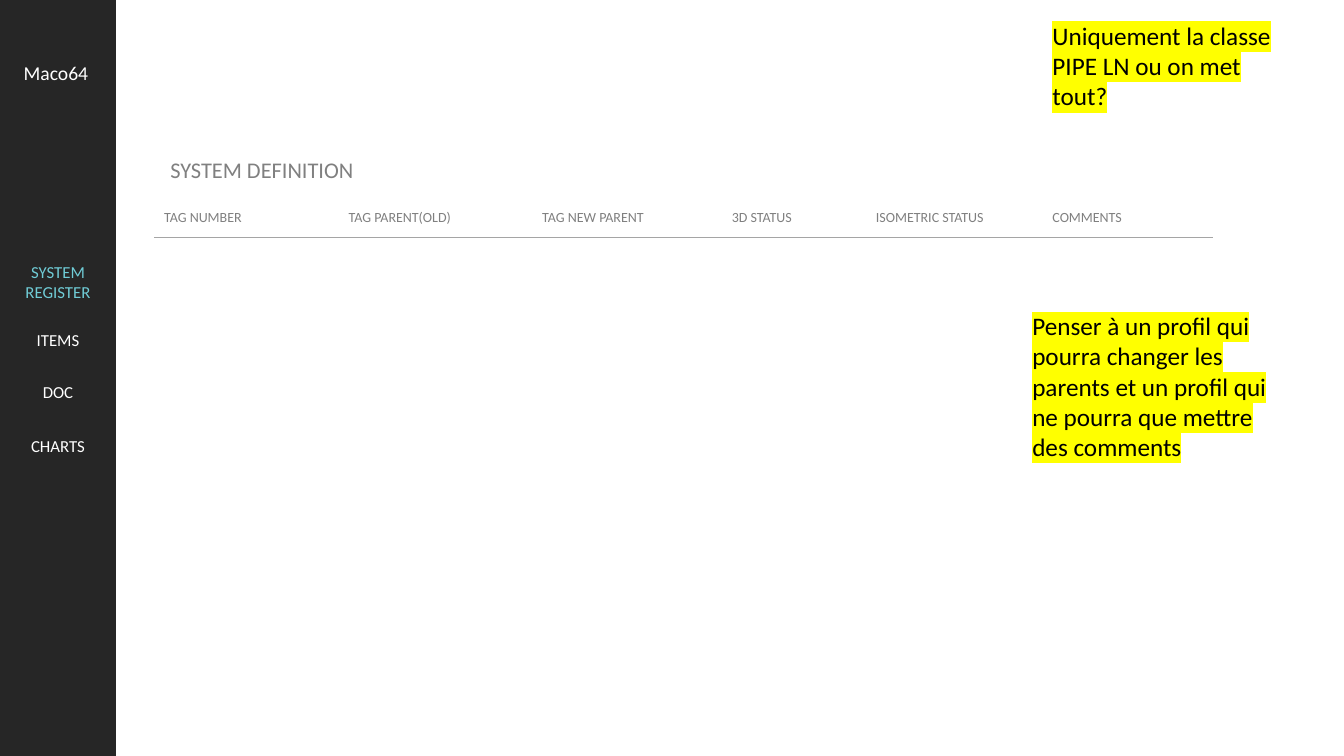
from lxml import etree
from pptx import Presentation
from pptx.dml.color import RGBColor
from pptx.enum.shapes import MSO_CONNECTOR, MSO_SHAPE
from pptx.enum.text import MSO_AUTO_SIZE, PP_ALIGN
from pptx.oxml.ns import qn
from pptx.util import Inches, Pt

LEFT, CENTER = PP_ALIGN.LEFT, PP_ALIGN.CENTER
GROW = MSO_AUTO_SIZE.SHAPE_TO_FIT_TEXT
RECTANGLE = MSO_SHAPE.RECTANGLE
STRAIGHT = MSO_CONNECTOR.STRAIGHT

FONT = "Calibri"
WHITE, BLACK, GRAY = "FFFFFF", "000000", "808080"
DARK, TEAL, YELLOW, RULE = "262626", "70CCD6", "FFFF00", "A5A5A5"

# Label, left, width
COLUMNS = [
    ("TAG NUMBER", 1.53, 1.15),
    ("TAG PARENT(OLD)", 3.36, 1.34),
    ("TAG NEW PARENT", 5.28, 1.34),
    ("3D STATUS", 7.16, 1.34),
    ("ISOMETRIC STATUS", 8.59, 1.56),
    ("COMMENTS", 10.34, 1.34),
]
# Label, top, height, colour
MENU = [
    ("SYSTEM\nREGISTER", 2.55, 0.5, TEAL),
    ("ITEMS", 3.22, 0.3, WHITE),
    ("DOC", 3.74, 0.3, WHITE),
    ("CHARTS", 4.27, 0.3, WHITE),
]
# Text, left, top, height
NOTES = [
    ("Uniquement la classe PIPE LN ou on met tout?", 10.34, 0.15, 1.01),
    ("Penser à un profil qui pourra changer les parents et un profil qui "
     "ne pourra que mettre des comments", 10.14, 3.03, 1.62),
]


def color(value):
    return RGBColor.from_string(value)


def add_highlight(span, value):
    """Place the highlight right after the text fill."""
    highlight = etree.Element(qn("a:highlight"))
    etree.SubElement(highlight, qn("a:srgbClr"), val=value)
    span.font._element.find(qn("a:solidFill")).addnext(highlight)


def add_text(page, text, left, top, width, height, *, size, fill,
             align=LEFT, highlight=None):
    box = page.shapes.add_textbox(
        Inches(left), Inches(top), Inches(width), Inches(height))
    frame = box.text_frame
    frame.word_wrap = True
    frame.auto_size = GROW
    for index, line in enumerate(text.split("\n")):
        para = frame.add_paragraph() if index else frame.paragraphs[0]
        para.alignment = align
        span = para.add_run()
        span.text = line
        span.font.name = FONT
        span.font.size = Pt(size)
        span.font.color.rgb = color(fill)
        if highlight:
            add_highlight(span, highlight)


def add_panel(page, left, top, width, height, fill):
    panel = page.shapes.add_shape(
        RECTANGLE, Inches(left), Inches(top), Inches(width), Inches(height))
    panel.shadow.inherit = False
    panel.fill.solid()
    panel.fill.fore_color.rgb = color(fill)
    panel.line.fill.background()


def add_rule(page, left, right, top):
    rule = page.shapes.add_connector(
        STRAIGHT, Inches(left), Inches(top), Inches(right), Inches(top))
    rule.line.color.rgb = color(RULE)
    rule.line.width = Pt(0.5)
    etree.SubElement(rule._element.spPr, qn("a:effectLst"))


def main():
    deck = Presentation()
    deck.slide_width, deck.slide_height = Inches(13.33), Inches(7.5)
    page = deck.slides.add_slide(deck.slide_layouts[6])

    # Sidebar with its menu
    add_panel(page, 0, 0, 1.15, 7.5, DARK)
    add_text(page, "Maco64", -0.2, 0.56, 1.51, 0.34,
             size=14, fill=WHITE, align=CENTER)
    for label, top, height, fill in MENU:
        add_text(page, label, -0.18, top, 1.51, height,
                 size=12, fill=fill, align=CENTER)

    # Register title and column heads
    add_text(page, "SYSTEM DEFINITION", 1.59, 1.5, 2.82, 0.37,
             size=16, fill=GRAY)
    for label, left, width in COLUMNS:
        add_text(page, label, left, 2.02, width, 0.27, size=10, fill=GRAY)
    add_rule(page, 1.53, 12.03, 2.35)

    # Highlighted remarks
    for text, left, top, height in NOTES:
        add_text(page, text, left, top, 2.66, height,
                 size=18, fill=BLACK, highlight=YELLOW)

    deck.save("out.pptx")


if __name__ == "__main__":
    main()
